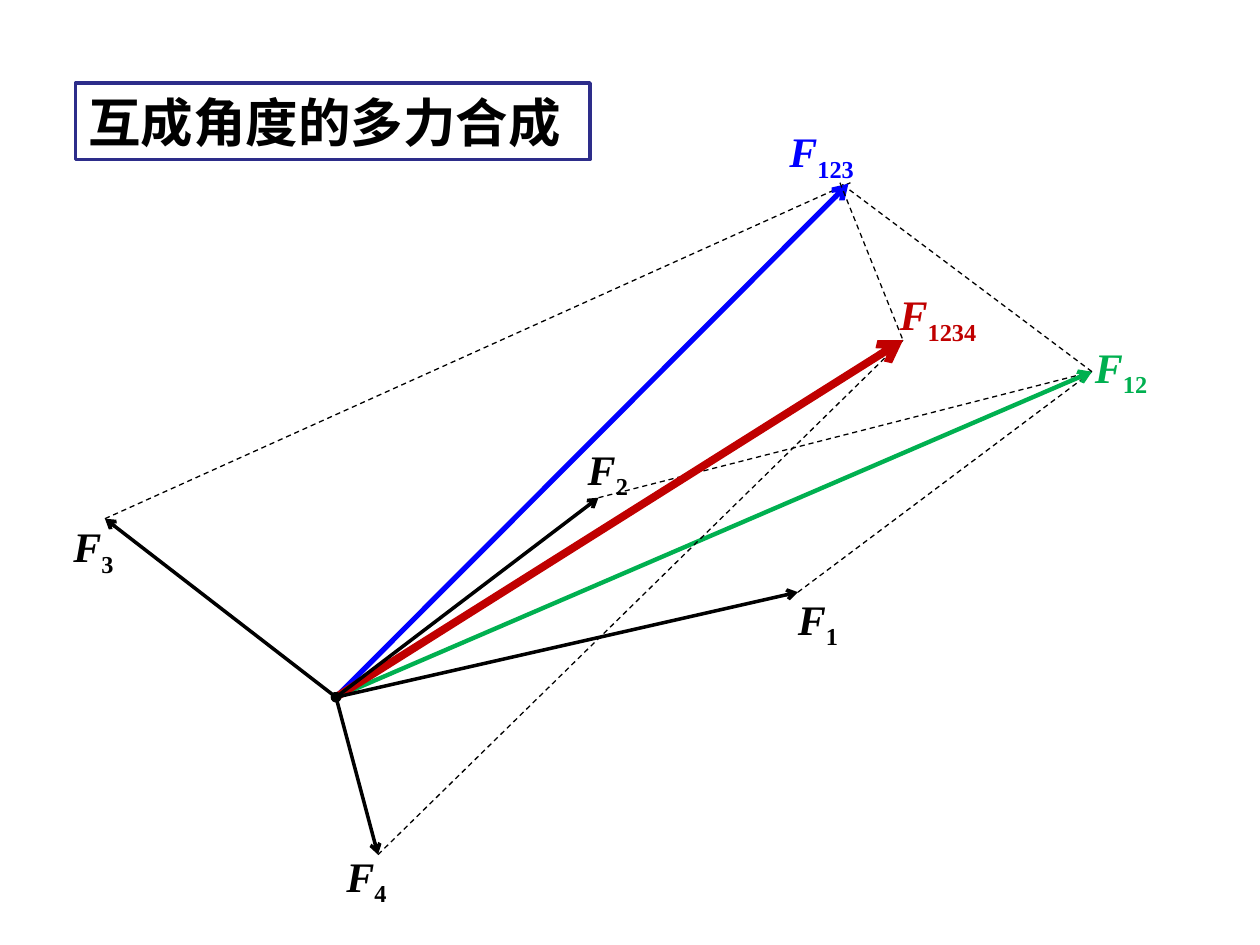
from pptx import Presentation
from pptx.dml.color import RGBColor
from pptx.enum.dml import MSO_LINE
from pptx.enum.shapes import MSO_CONNECTOR
from pptx.enum.text import MSO_ANCHOR, MSO_AUTO_SIZE, PP_ALIGN
from pptx.oxml.ns import qn
from pptx.util import Inches, Pt
from lxml.etree import SubElement

W, H = 10, 7.5
COLS, ROWS = 12, 9
COLORS = {"black": "000000", "white": "FFFFFF", "green": "00B050",
          "blue": "0000FF", "red": "C00000", "navy": "2D2D8A"}
LATIN, CJK = "Times New Roman", "Noto Sans CJK SC"

POINTS = {"O": (3.2, 6.64), "F1": (7.6, 5.64), "F2": (5.7, 4.74),
          "F3": (1, 4.94), "F4": (3.6, 8.14), "F12": (10.4, 3.54),
          "F123": (8.08, 1.75), "F1234": (8.6, 3.24),
          "F123 left": (8, 1.74), "F123 right": (8.1, 1.74)}

RESULTANTS = [
    ("F12", "green", 2.5, [("F2", "F12"), ("F1", "F12")]),
    ("F123", "blue", 3, [("F3", "F123 right"), ("F12", "F123 left")]),
    ("F1234", "red", 4.5, [("F4", "F1234"), ("F123 left", "F1234")]),
]
FORCES = [("F1", None), ("F2", None), ("F3", "oval"), ("F4", "oval")]

LABELS = {"F1": (7.48, 5.59), "F2": (5.48, 4.16), "F3": (0.58, 4.9),
          "F4": (3.18, 8.04), "F12": (10.31, 3.19), "F123": (7.4, 1.14),
          "F1234": (8.45, 2.69)}
LABEL_WIDTHS = {1: 0.65, 2: 0.78, 3: 0.91, 4: 1.06}


def rgb(name):
    return RGBColor.from_string(COLORS[name])


def set_attrs(obj, values):
    for key, value in values.items():
        setattr(obj, key, value)


def place(box, col, row):
    x, y, w, h = box
    return Inches(x + w * col / COLS), Inches(y + h * row / ROWS)


def size(box, cols, rows):
    return Inches(box[2] * cols / COLS), Inches(box[3] * rows / ROWS)


def add_line(shapes, box, start, end, color="black", width=0.75,
             dash=None, head=None, tail=None):
    c = shapes.add_connector(MSO_CONNECTOR.STRAIGHT,
                             *place(box, *POINTS[start]),
                             *place(box, *POINTS[end]))
    set_attrs(c.line, {"width": Pt(width), "dash_style": dash})
    c.line.color.rgb = rgb(color)
    ln = c.line._get_or_add_ln()
    for tag, kind in (("a:headEnd", head), ("a:tailEnd", tail)):
        if kind:
            SubElement(ln, qn(tag), type=kind)
    SubElement(c._element.spPr, qn("a:effectLst"))


def add_label(shapes, box, name, color="black"):
    sub = name[1:]
    tb = shapes.add_textbox(*place(box, *LABELS[name]),
                            *size(box, LABEL_WIDTHS[len(sub)], 0.61))
    tf = tb.text_frame
    set_attrs(tf, {"word_wrap": False,
                   "auto_size": MSO_AUTO_SIZE.SHAPE_TO_FIT_TEXT})
    p = tf.paragraphs[0]
    for text, italic in (("F", True), (sub, False)):
        r = p.add_run()
        r.text = text
        set_attrs(r.font, {"name": LATIN, "size": Pt(24),
                           "bold": True, "italic": italic})
        r.font.color.rgb = rgb(color)
        if not italic:
            r._r.get_or_add_rPr().set("baseline", "-25000")


def add_title(s, box, text):
    sp = s.shapes.title
    left, top = place(box, 0.72, 0.79)
    width, height = size(box, 4.9, 0.73)
    set_attrs(sp, {"left": left, "top": top, "width": width, "height": height})
    sp.fill.solid()
    sp.fill.fore_color.rgb = rgb("white")
    sp.line.color.rgb = rgb("navy")
    sp.line.width = Pt(2)
    tf = sp.text_frame
    set_attrs(tf, {"word_wrap": True, "auto_size": MSO_AUTO_SIZE.NONE,
                   "vertical_anchor": MSO_ANCHOR.MIDDLE})
    p = tf.paragraphs[0]
    p.alignment = PP_ALIGN.LEFT
    r = p.add_run()
    r.text = text
    set_attrs(r.font, {"name": CJK, "size": Pt(30), "bold": True})
    r.font.color.rgb = rgb("black")
    SubElement(r._r.get_or_add_rPr(), qn("a:ea"), typeface=CJK)


def add_diagram(s, box):
    for name, color, width, sides in RESULTANTS:
        for start, end in sides:
            add_line(s.shapes, box, start, end, dash=MSO_LINE.DASH)
        add_line(s.shapes, box, "O", name, color, width, tail="arrow")
    for name, head in FORCES:
        group = s.shapes.add_group_shape()
        add_line(group.shapes, box, "O", name, width=2, head=head, tail="arrow")
        add_label(group.shapes, box, name)
    for name, color, _, _ in RESULTANTS:
        add_label(s.shapes, box, name, color)


def main():
    prs = Presentation()
    set_attrs(prs, {"slide_width": Inches(W), "slide_height": Inches(H)})
    s = prs.slides.add_slide(prs.slide_layouts.get_by_name("Title Only"))
    box = (0, 0, W, H)
    add_title(s, box, "互成角度的多力合成")
    add_diagram(s, box)
    prs.save("out.pptx")


if __name__ == "__main__":
    main()
